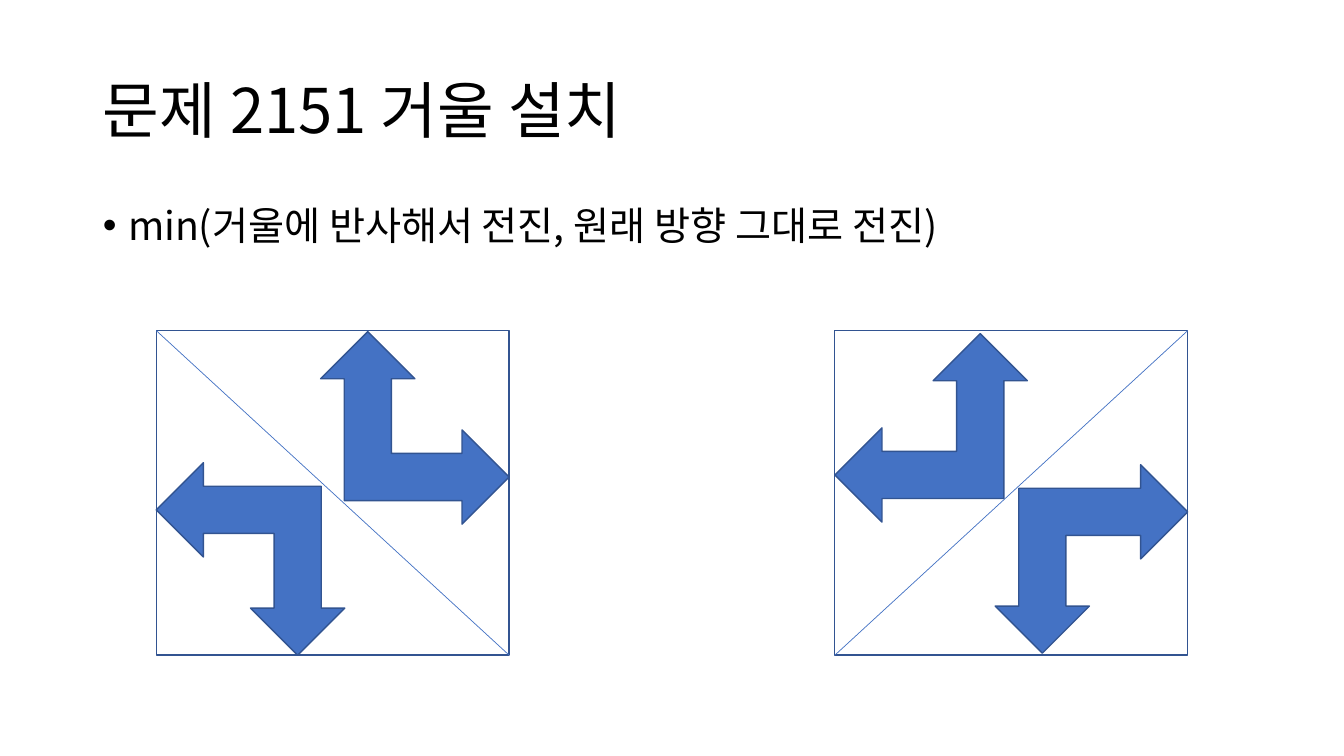
from lxml.etree import SubElement
from pptx import Presentation
from pptx.dml.color import RGBColor
from pptx.enum.shapes import MSO_CONNECTOR as Connector, MSO_SHAPE as Shape
from pptx.enum.text import MSO_ANCHOR as Anchor, MSO_AUTO_SIZE as AutoSize, PP_ALIGN as Align
from pptx.oxml.ns import qn
from pptx.util import Pt

BLACK = RGBColor(0x00, 0x00, 0x00)
BLUE = RGBColor(0x44, 0x72, 0xC4)
NAVY = RGBColor(0x32, 0x54, 0x91)

MIRROR_TOP, MIRROR_WIDTH, MIRROR_HEIGHT = 328, 350, 322
ARROW_WIDTH, ARROW_HEIGHT = 191, 187


class SlideBuilder:
    """Draws styled elements on one slide, with lengths in px at 100 px to the inch."""

    FONT = "Noto Sans CJK KR"
    SCALE = 9144

    def __init__(self, width, height):
        self.deck = Presentation()
        self.deck.slide_width, self.deck.slide_height = self.px(width, height)
        self.page = self.deck.slides.add_slide(self.deck.slide_layouts[1])
        self.diagram = self.page.shapes.add_group_shape().shapes

    def px(self, *lengths):
        return [length * self.SCALE for length in lengths]

    def apply(self, target, formats):
        for name, value in formats.items():
            setattr(target, name, value)

    def placeholder(self, index, bounds, text, size, anchor, space_before):
        box = self.page.placeholders[index]
        self.apply(box, dict(zip(("left", "top", "width", "height"), self.px(*bounds))))
        self.apply(box.text_frame, {
            "word_wrap": True, "auto_size": AutoSize.NONE, "vertical_anchor": anchor,
        })
        para = box.text_frame.paragraphs[0]
        self.apply(para, {
            "alignment": Align.LEFT, "line_spacing": 0.9, "space_before": Pt(space_before),
        })
        span = para.add_run()
        span.text = text
        self.apply(span.font, {"name": self.FONT, "size": Pt(size)})
        span.font.color.rgb = BLACK
        SubElement(span.font._element, qn("a:ea"), typeface=self.FONT)
        return para

    def title(self, bounds, text):
        self.placeholder(0, bounds, text, 44, Anchor.MIDDLE, 0)

    def bullet(self, bounds, text):
        para = self.placeholder(1, bounds, text, 28, Anchor.TOP, 10)
        indent = self.px(25)[0]
        properties = para._p.get_or_add_pPr()
        properties.set("marL", str(indent))
        properties.set("indent", str(-indent))
        SubElement(properties, qn("a:buFont"), typeface="Arial")
        SubElement(properties, qn("a:buChar"), char="•")

    def shape(self, kind, bounds, fill=None, rotation=0):
        shape = self.diagram.add_shape(kind, *self.px(*bounds))
        self.apply(shape, {"rotation": rotation})
        shape.shadow.inherit = False
        if fill is None:
            shape.fill.background()
        else:
            shape.fill.solid()
            shape.fill.fore_color.rgb = fill
        shape.line.color.rgb = NAVY
        shape.line.width = Pt(1)

    def line(self, *ends):
        line = self.diagram.add_connector(Connector.STRAIGHT, *self.px(*ends))
        line.line.color.rgb = BLUE
        line.line.width = Pt(0.5)
        SubElement(line._element.spPr, qn("a:effectLst"))

    def mirror(self, left, falling):
        right, bottom = left + MIRROR_WIDTH, MIRROR_TOP + MIRROR_HEIGHT
        self.shape(Shape.RECTANGLE, (left, MIRROR_TOP, MIRROR_WIDTH, MIRROR_HEIGHT))
        start, end = (left, right) if falling else (right, left)
        self.line(start, MIRROR_TOP, end, bottom)

    def arrow(self, left, top, rotation):
        bounds = (left, top, ARROW_WIDTH, ARROW_HEIGHT)
        self.shape(Shape.LEFT_UP_ARROW, bounds, BLUE, rotation)


def main():
    builder = SlideBuilder(1333, 750)
    builder.title((92, 40, 1150, 145), "문제 2151 거울 설치")
    builder.bullet((92, 200, 1150, 476), "min(거울에 반사해서 전진, 원래 방향 그대로 전진)")
    for left, falling in ((155, True), (828, False)):
        builder.mirror(left, falling)
    for left, top, rotation in ((316, 331, 90), (153, 461, 270), (828, 331, 0), (987, 461, 180)):
        builder.arrow(left, top, rotation)
    builder.deck.save("out.pptx")


if __name__ == "__main__":
    main()
